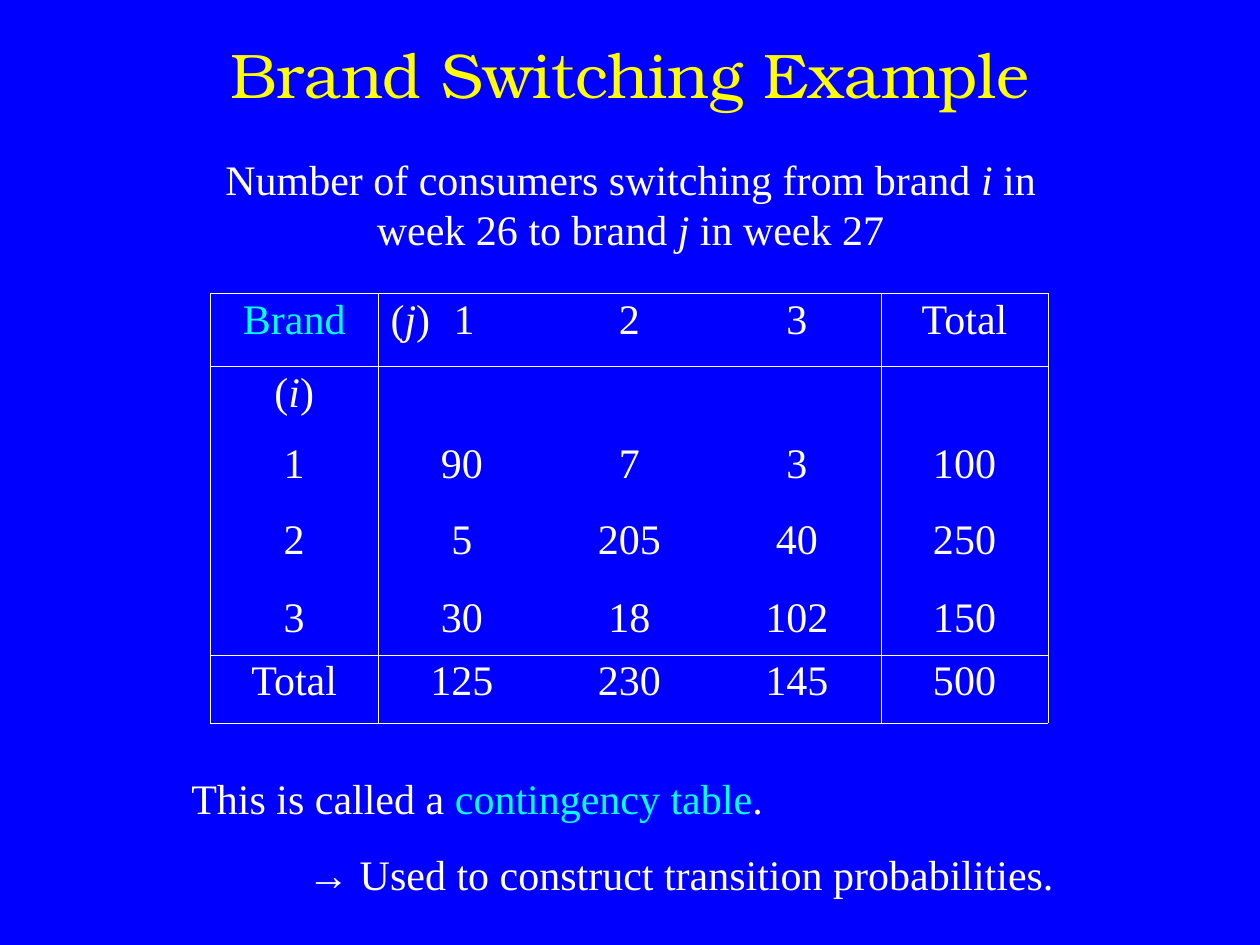
"""Build the brand switching slide with its contingency table."""
from lxml import etree
from pptx import Presentation, util as u
from pptx.dml.color import RGBColor
from pptx.enum import text
from pptx.oxml import ns

WHITE, CYAN, YELLOW, BLUE = "FFFFFF", "00FFFF", "FFFF00", "0000FF"
CENTER, LEFT = text.PP_ALIGN.CENTER, text.PP_ALIGN.LEFT
ITALIC = {"italic": True}


def color(value):
    return RGBColor.from_string(value)


def write(paragraph, runs, **layout):
    for name, value in layout.items():
        setattr(paragraph, name, value)
    for words, changes in runs:
        run = paragraph.add_run()
        run.text = words
        look = {"name": "Times New Roman", "size": u.Pt(24), "color": WHITE, **changes}
        run.font.color.rgb = color(look.pop("color"))
        for name, value in look.items():
            setattr(run.font, name, value)


prs = Presentation()
prs.slide_width, prs.slide_height = u.Inches(10), u.Inches(7.5)
slide = prs.slides.add_slide(prs.slide_layouts[6])
slide.background.fill.solid()
slide.background.fill.fore_color.rgb = color(BLUE)

title_runs = [("Brand Switching Example",
               {"name": "TeX Gyre Bonum", "size": u.Pt(36), "color": YELLOW})]
caption_runs = [("Number of consumers switching from brand ", {}), ("i", ITALIC),
                (" in week 26 to brand ", {}), ("j", ITALIC), (" in week 27", {})]
definition_runs = [("This is called a ", {}), ("contingency table", {"color": CYAN}), (".", {})]
use_runs = [("→", {"name": "Arial"}), (" Used to construct transition probabilities.", {})]

texts = [
    ((0.75, 0.23, 8.5, 0.7), text.MSO_ANCHOR.MIDDLE, CENTER, [title_runs]),
    ((1.42, 1.17, 7.17, 0.9), text.MSO_ANCHOR.TOP, CENTER, [caption_runs]),
    ((1.42, 6.08, 7.42, 1.11), text.MSO_ANCHOR.TOP, LEFT, [definition_runs, use_runs]),
]
for place, anchor, alignment, lines in texts:
    frame = slide.shapes.add_textbox(*map(u.Inches, place)).text_frame
    frame.word_wrap = True
    frame.vertical_anchor = anchor
    for number, runs in enumerate(lines):
        if number == 0:
            write(frame.paragraphs[0], runs, alignment=alignment)
        else:
            conclusion = frame.add_paragraph()
            conclusion._p.get_or_add_pPr().set("marL", str(u.Inches(0.92)))
            write(conclusion, runs, alignment=alignment, space_before=u.Pt(15))

counts = [
    [[("Brand", {"color": CYAN})], [("(", {}), ("j", ITALIC), (")\t1", {})], "2", "3", "Total"],
    [[("(", {}), ("i", ITALIC), (")", {})], "", "", "", ""],
    ["1", "90", "7", "3", "100"],
    ["2", "5", "205", "40", "250"],
    ["3", "30", "18", "102", "150"],
    ["Total", "125", "230", "145", "500"],
]
row_heights = [0.58, 0.56, 0.61, 0.62, 0.5, 0.54]
ruled_rows, ruled_columns = {0, 1, 5, 6}, {0, 1, 4, 5}

table = slide.shapes.add_table(6, 5, u.Inches(1.67), u.Inches(2.33),
                               u.Inches(6.67), u.Inches(3.42)).table
table.first_row = table.horz_banding = False
for column in table.columns:
    column.width = u.Inches(1.33)
for r, height in enumerate(row_heights):
    table.rows[r].height = u.Inches(height)
    for c, content in enumerate(counts[r]):
        cell = table.cell(r, c)
        borders = {"a:lnL": c in ruled_columns, "a:lnR": c + 1 in ruled_columns,
                   "a:lnT": r in ruled_rows, "a:lnB": r + 1 in ruled_rows}
        properties = cell._tc.get_or_add_tcPr()
        for side, ruled in borders.items():
            edge = etree.SubElement(properties, ns.qn(side), w=str(u.Pt(0.23)))
            paint = etree.SubElement(edge, ns.qn("a:solidFill" if ruled else "a:noFill"))
            if ruled:
                etree.SubElement(paint, ns.qn("a:srgbClr"), val=WHITE)
        cell.fill.background()
        if content:
            runs = [(content, {})] if isinstance(content, str) else content
            entry = cell.text_frame.paragraphs[0]
            tabbed = any("\t" in words for words, _ in runs)
            write(entry, runs, alignment=LEFT if tabbed else CENTER, line_spacing=0.93)
            if tabbed:
                stops = etree.SubElement(entry._p.get_or_add_pPr(), ns.qn("a:tabLst"))
                etree.SubElement(stops, ns.qn("a:tab"), pos=str(u.Inches(0.5)), algn="l")

prs.save("out.pptx")
